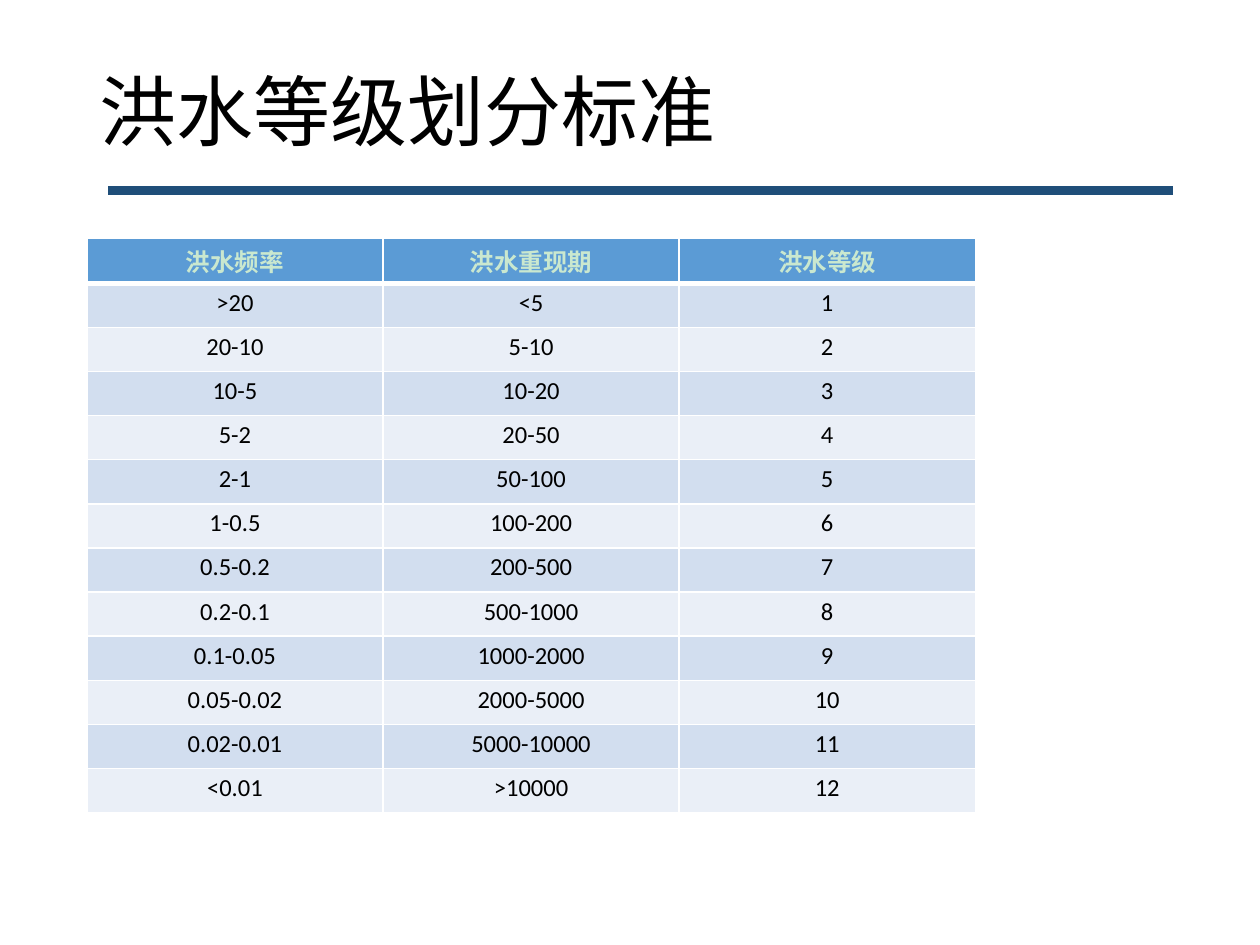
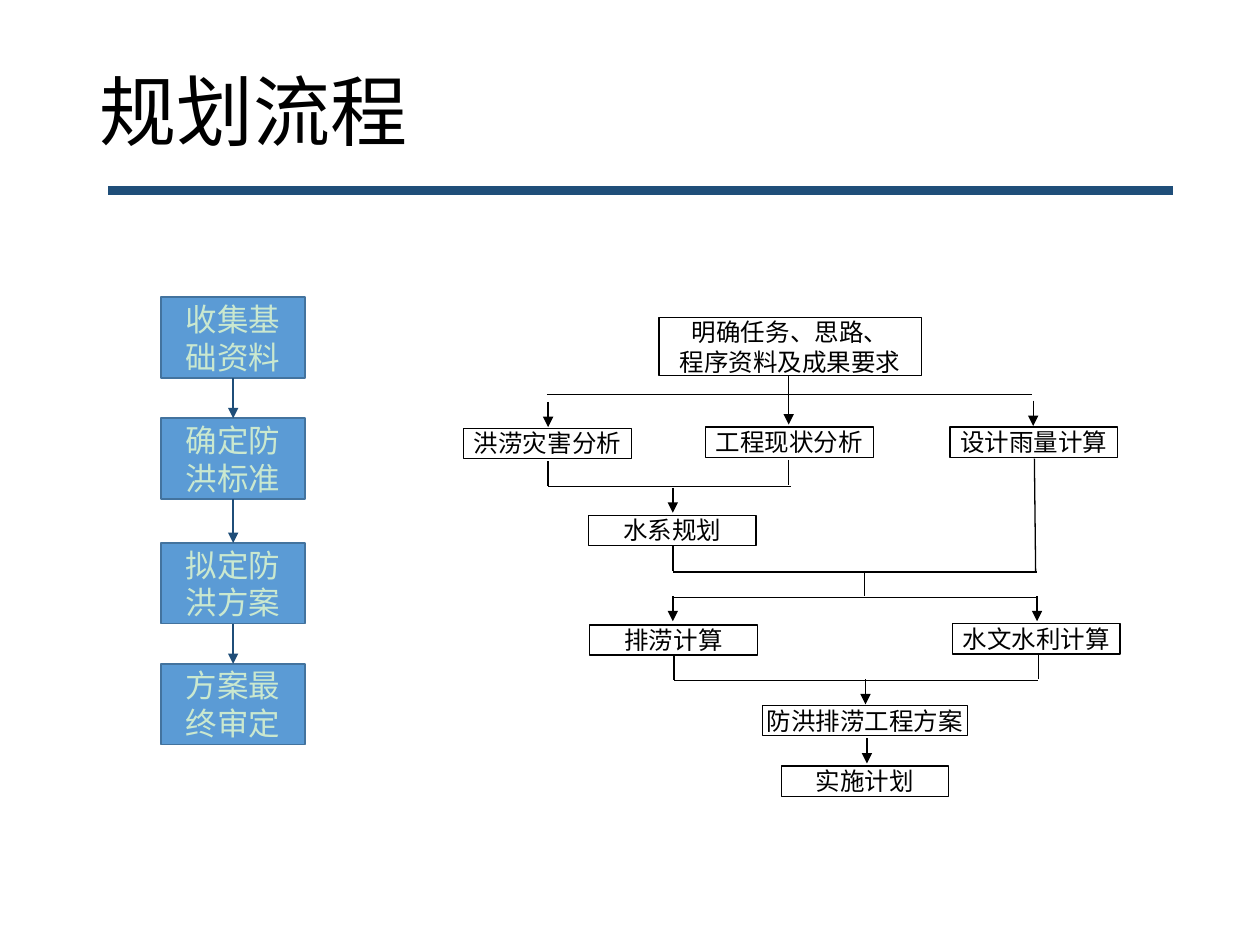
from dataclasses import dataclass
from itertools import pairwise

from lxml.etree import SubElement as Sub
from pptx import Presentation
from pptx.dml.color import RGBColor as RGB
from pptx.enum.shapes import MSO_CONNECTOR as Link, MSO_SHAPE as Form
from pptx.enum.text import MSO_ANCHOR as Anchor, MSO_AUTO_SIZE as Fit, PP_ALIGN as Align
from pptx.oxml.ns import qn
from pptx.util import Pt


# Colours, fonts and type sizes
@dataclass(frozen=True)
class Theme:
    black: str = "000000"
    white: str = "FFFFFF"
    mint: str = "CAE8CF"
    blue: str = "5B9BD5"
    edge: str = "43739E"
    navy: str = "1F4E79"
    bands: tuple = ("D2DEEF", "EAEFF7")
    sans: str = "Calibri"
    serif: str = "Times New Roman"
    title: float = 44
    step: float = 18
    small: float = 14


THEME = Theme()


@dataclass(frozen=True)
class Type:
    size: float
    font: str
    color: str
    bold: bool = False


@dataclass(frozen=True)
class Look:
    fill: str
    line: str
    width: float
    type: Type
    anchor: Anchor
    pads: tuple


@dataclass(frozen=True)
class Box:
    lines: tuple
    left: float
    top: float
    width: float = 95.8
    height: float = 17.3


@dataclass(frozen=True)
class Line:
    x1: float
    y1: float
    x2: float
    y2: float
    arrow: bool = False


STEP = Look(THEME.blue, THEME.edge, 1, Type(THEME.step, THEME.sans, THEME.mint),
            Anchor.MIDDLE, (7.2, 3.6))
TASK = Look(THEME.white, THEME.black, 0.75, Type(THEME.small, THEME.serif, THEME.black),
            Anchor.TOP, (0, 0))

# Flood grades: frequency and return period, numbered in order
HEADS = ("洪水频率", "洪水重现期", "洪水等级")
GRADES = (
    (">20", "<5"), ("20-10", "5-10"), ("10-5", "10-20"), ("5-2", "20-50"),
    ("2-1", "50-100"), ("1-0.5", "100-200"), ("0.5-0.2", "200-500"),
    ("0.2-0.1", "500-1000"), ("0.1-0.05", "1000-2000"), ("0.05-0.02", "2000-5000"),
    ("0.02-0.01", "5000-10000"), ("<0.01", ">10000"),
)

# Main steps, top to bottom
STEPS = tuple(Box((text,), 92.2, top, 82.1, 46.1) for text, top in (
    ("收集基础资料", 169.9), ("确定防洪标准", 239),
    ("拟定防洪方案", 310.3), ("方案最终审定", 379.4)))

# Detailed tasks
TASKS = (
    Box(("明确任务、思路、", "程序资料及成果要求"), 376.6, 181.4, 149.8, 33.1),
    Box(("洪涝灾害分析",), 265, 244.8),
    Box(("工程现状分析",), 403.2, 244.1),
    Box(("设计雨量计算",), 542.9, 244.1),
    Box(("水系规划",), 336.2, 294.5),
    Box(("排涝计算",), 337, 357.1),
    Box(("水文水利计算",), 544.3, 356.4),
    Box(("防洪排涝工程方案",), 435.6, 403.2, 117.4),
    Box(("实施计划",), 446.4, 437.8),
)

# Upright links of equal length: x, top
STUB = 14.4
PLAIN = ((450.7, 214.6), (313.2, 263.5), (450.7, 262.8), (384.5, 311.8),
         (493.9, 326.2), (385.2, 374.4), (593.3, 373.7))
HEADED = ((450.7, 228.2), (590.4, 229), (313.2, 229.7), (384.5, 278.6),
          (384.5, 340.6), (592.6, 340.6), (494.6, 388.1), (495.4, 421.9))
# Level links: left, right, y
BARS = ((312.5, 589.7, 225.4), (313.2, 452.2, 277.9), (384.5, 592.6, 326.9),
        (384.5, 592.6, 341.3), (385.2, 593.3, 388.8))
LINKS = (
    *(Line(x, y, x, y + STUB) for x, y in PLAIN),
    *(Line(x, y, x, y + STUB, True) for x, y in HEADED),
    *(Line(x1, y, x2, y) for x1, x2, y in BARS),
    Line(591.1, 262.1, 591.8, 326.2),
)


def write(para, text: str, kind: Type) -> None:
    run = para.add_run()
    run.text = text
    font = run.font
    font.size, font.name, font.bold = Pt(kind.size), kind.font, kind.bold
    font.color.rgb = RGB.from_string(kind.color)


def draw_line(shapes, line: Line, color: str, width: float) -> None:
    link = shapes.add_connector(
        Link.STRAIGHT, Pt(line.x1), Pt(line.y1), Pt(line.x2), Pt(line.y2))
    link.line.color.rgb = RGB.from_string(color)
    link.line.width = Pt(width)
    props = link._element.spPr
    if line.arrow:
        Sub(props.find(qn("a:ln")), qn("a:tailEnd"), type="triangle")
    Sub(props, qn("a:effectLst"))


def draw_box(shapes, box: Box, look: Look) -> None:
    shape = shapes.add_shape(
        Form.RECTANGLE, Pt(box.left), Pt(box.top), Pt(box.width), Pt(box.height))
    shape.shadow.inherit = False
    shape.fill.solid()
    shape.fill.fore_color.rgb = RGB.from_string(look.fill)
    shape.line.color.rgb = RGB.from_string(look.line)
    shape.line.width = Pt(look.width)
    frame = shape.text_frame
    frame.word_wrap = True
    frame.vertical_anchor = look.anchor
    side, end = look.pads
    frame.margin_left = frame.margin_right = Pt(side)
    frame.margin_top = frame.margin_bottom = Pt(end)
    for i, text in enumerate(box.lines):
        para = frame.add_paragraph() if i else frame.paragraphs[0]
        para.alignment = Align.CENTER
        write(para, text, look.type)


def add_slide(deck, text: str):
    """Add a slide with the shared title and rule."""
    slide = deck.slides.add_slide(deck.slide_layouts[5])
    title = slide.shapes.title
    title.left, title.top, title.width, title.height = map(Pt, (49.7, 28.8, 620.6, 74.9))
    frame = title.text_frame
    frame.auto_size = Fit.NONE
    frame.vertical_anchor = Anchor.MIDDLE
    para = frame.paragraphs[0]
    para.alignment = Align.LEFT
    para.line_spacing = 0.9
    write(para, text, Type(THEME.title, THEME.sans, THEME.black))
    draw_line(slide.shapes, Line(61.9, 108.7, 670.3, 108.7), THEME.navy, 5)
    return slide


def set_edge(cell, side: str, width: float) -> None:
    edge = Sub(cell._tc.get_or_add_tcPr(), qn(f"a:ln{side}"), w=str(Pt(width)))
    Sub(Sub(edge, qn("a:solidFill")), qn("a:srgbClr"), val=THEME.white)


def fill_cell(cell, text: str, row: int) -> None:
    # Edges come before the fill; the header rule is heavier
    for side in "LRTB":
        heavy = (row, side) in ((0, "B"), (1, "T"))
        set_edge(cell, side, 3 if heavy else 1)
    cell.fill.solid()
    cell.fill.fore_color.rgb = RGB.from_string(
        THEME.bands[(row - 1) % 2] if row else THEME.blue)
    cell.margin_left = cell.margin_right = Pt(5.4)
    cell.margin_top = cell.margin_bottom = Pt(2.7)
    para = cell.text_frame.paragraphs[0]
    para.alignment = Align.CENTER
    color = THEME.black if row else THEME.mint
    write(para, text, Type(THEME.small, THEME.sans, color, row == 0))


def add_grades(deck) -> None:
    slide = add_slide(deck, "洪水等级划分标准")
    rows = (HEADS, *((*pair, str(n)) for n, pair in enumerate(GRADES, 1)))
    wide, high = 169.2, 25.2
    table = slide.shapes.add_table(
        len(rows), len(HEADS), Pt(49.7), Pt(136.1),
        Pt(wide * len(HEADS)), Pt(high * len(rows))).table
    for col in table.columns:
        col.width = Pt(wide)
    for r, row in enumerate(rows):
        table.rows[r].height = Pt(high)
        for c, text in enumerate(row):
            fill_cell(table.cell(r, c), text, r)


def add_flow(deck) -> None:
    slide = add_slide(deck, "规划流程")
    # Detailed chart
    group = slide.shapes.add_group_shape().shapes
    for box in TASKS:
        draw_box(group, box, TASK)
    for link in LINKS:
        draw_line(group, link, THEME.black, 0.75)
    # Main steps
    for box in STEPS:
        draw_box(slide.shapes, box, STEP)
    for a, b in pairwise(STEPS):
        mid = a.left + a.width / 2
        draw_line(slide.shapes, Line(mid, a.top + a.height, mid, b.top, True),
                  THEME.navy, 1.5)


def main() -> None:
    deck = Presentation()
    deck.slide_width, deck.slide_height = Pt(720), Pt(540)
    add_grades(deck)
    add_flow(deck)
    deck.save("out.pptx")


if __name__ == "__main__":
    main()
